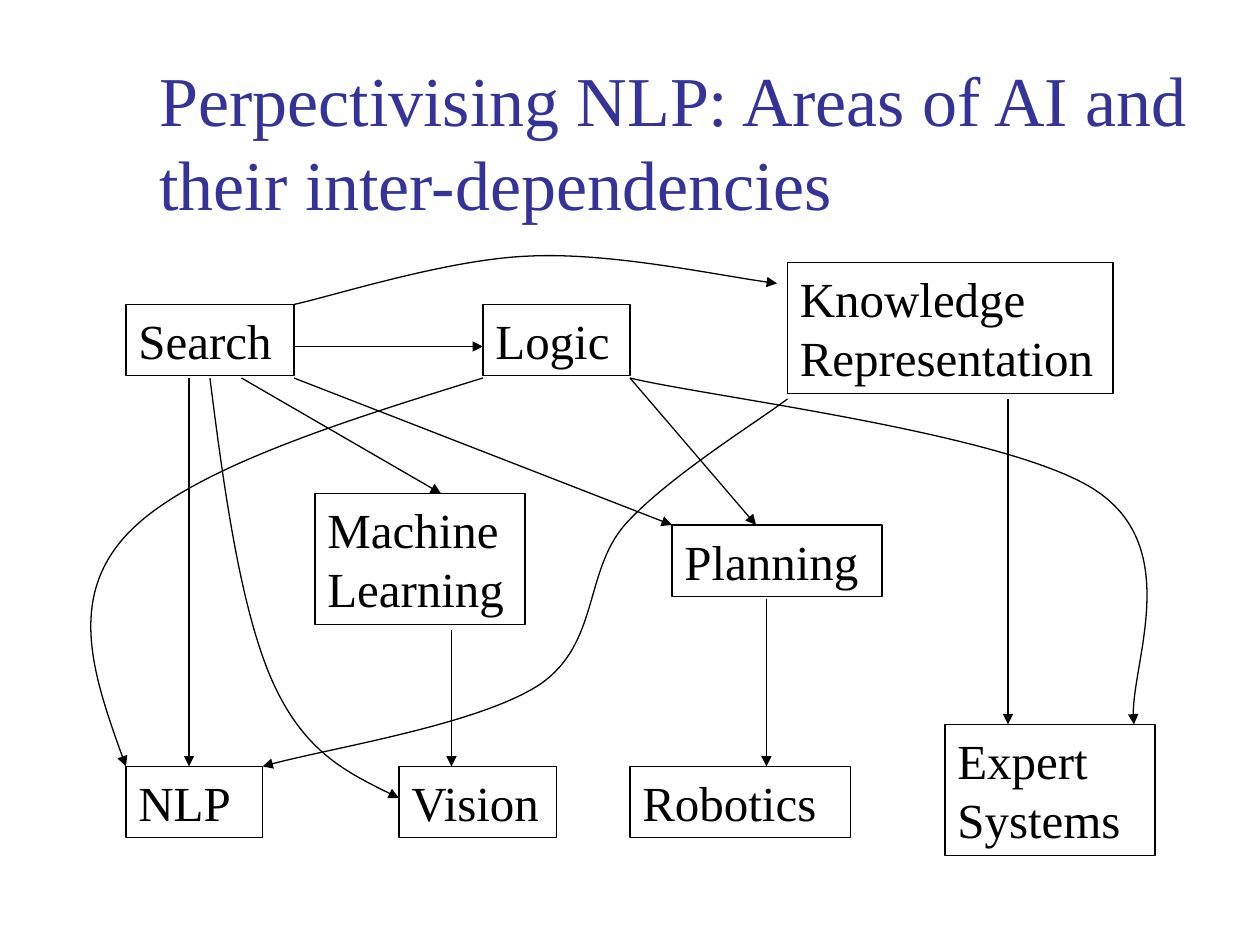
from lxml.etree import SubElement
from pptx import Presentation
from pptx.dml.color import RGBColor
from pptx.enum.shapes import MSO_CONNECTOR
from pptx.enum.text import MSO_ANCHOR, MSO_AUTO_SIZE, PP_ALIGN
from pptx.oxml.ns import qn
from pptx.util import Pt

PX = 7620  # 120 px to the inch
BLACK = RGBColor(0x00, 0x00, 0x00)
BLUE = RGBColor(0x33, 0x33, 0x99)
ONE, TWO = 68, 125  # heights of boxes with one and two lines of text


def write(shape, text, size=28, color=BLACK, anchor=MSO_ANCHOR.TOP,
          fit=MSO_AUTO_SIZE.SHAPE_TO_FIT_TEXT):
    frame = shape.text_frame
    frame.word_wrap = True
    frame.auto_size = fit
    frame.vertical_anchor = anchor
    para = frame.paragraphs[0]
    para.alignment = PP_ALIGN.LEFT
    run = para.add_run()
    run.text = text
    run.font.name = "Times New Roman"
    run.font.size = Pt(size)
    run.font.color.rgb = color


def ink(shape, arrow=True):
    """Give a thin black outline without shadow, ending in an arrowhead if asked."""
    shape.line.color.rgb = BLACK
    shape.line.width = Pt(0.75)
    if arrow:
        SubElement(shape.line._get_or_add_ln(), qn("a:tailEnd"), type="triangle")
    SubElement(shape._element.spPr, qn("a:effectLst"))


deck = Presentation()
deck.slide_width, deck.slide_height = 1200 * PX, 900 * PX
slide = deck.slides.add_slide(deck.slide_layouts[5])
shapes = slide.shapes

title = shapes.title
title.left, title.top, title.width, title.height = (n * PX for n in (140, 28, 1033, 192))
write(title, "Perpectivising NLP: Areas of AI and their inter-dependencies",
      size=40, color=BLUE, anchor=MSO_ANCHOR.BOTTOM, fit=MSO_AUTO_SIZE.NONE)

areas = [
    ("Search", 120, 290, 160, ONE),
    ("Vision", 380, 730, 150, ONE),
    ("Planning", 640, 500, 200, ONE),
    ("Machine Learning", 300, 470, 200, TWO),
    ("Knowledge Representation", 750, 250, 310, TWO),
    ("Logic", 460, 290, 140, ONE),
    ("Expert Systems", 900, 690, 200, TWO),
    ("Robotics", 600, 730, 210, ONE),
    ("NLP", 120, 730, 130, ONE),
]
for name, *place in areas:
    box = shapes.add_textbox(*(n * PX for n in place))
    ink(box, arrow=False)
    write(box, name)

arrows = [
    (180, 360, 180, 730),  # Search to NLP
    (280, 330, 460, 330),  # Search to Logic
    (280, 360, 640, 500),  # Search to Planning
    (230, 360, 420, 470),  # Search to Machine Learning
    (600, 360, 720, 500),  # Logic to Planning
    (960, 380, 960, 690),  # Knowledge to Expert Systems
    (430, 600, 430, 730),  # Machine Learning to Vision
    (730, 570, 730, 730),  # Planning to Robotics
]
for ends in arrows:
    ink(shapes.add_connector(MSO_CONNECTOR.STRAIGHT, *(n * PX for n in ends)))

# Each curve is a start point, then two handles and an end point per segment
curves = [
    # Search to Knowledge
    [(280, 290), (317, 282), (426, 247), (503, 244),
     (580, 240), (691, 264), (740, 270)],
    # Search to Vision
    [(200, 360), (214, 472), (230, 583), (260, 650),
     (290, 716), (335, 738), (380, 760)],
    # Logic to NLP
    [(460, 360), (318, 404), (176, 449), (120, 510),
     (64, 571), (91, 650), (120, 730)],
    # Logic to Expert Systems
    [(600, 360), (674, 378), (965, 413), (1045, 468),
     (1126, 523), (1073, 643), (1080, 690)],
    # Knowledge to NLP
    [(750, 380), (724, 400), (635, 455), (595, 500), (556, 545),
     (571, 613), (514, 652), (456, 690), (305, 714), (250, 730)],
]
for start, *points in curves:
    pen = shapes.build_freeform(*start, scale=PX)
    pen.add_line_segments(points, close=False)
    curve = pen.convert_to_shape()
    curve.fill.background()
    ink(curve)
    # Turn each three straight steps into one Bezier segment
    trace = next(curve._element.iter(qn("a:path")))
    steps = trace.findall(qn("a:lnTo"))
    for i in range(0, len(steps), 3):
        bend = SubElement(trace, qn("a:cubicBezTo"))
        for step in steps[i:i + 3]:
            bend.append(step[0])
            trace.remove(step)

deck.save("out.pptx")
